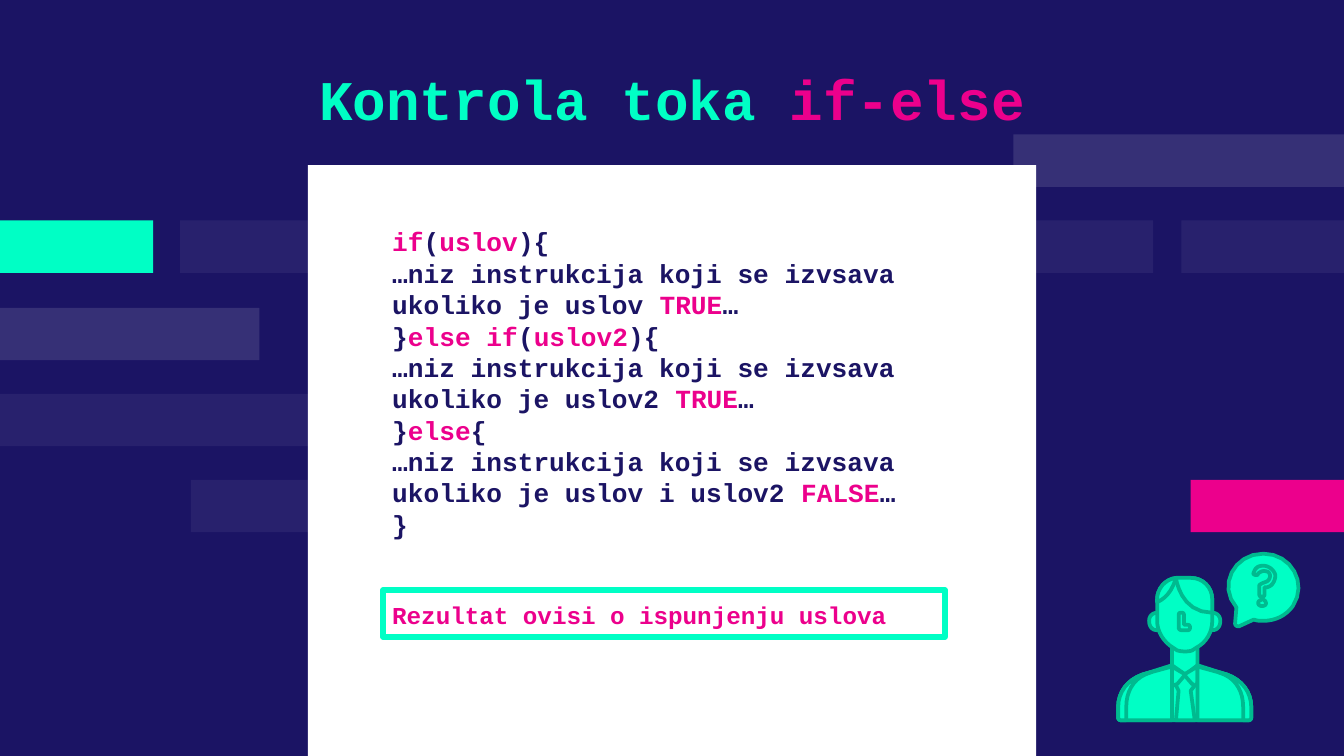
from dataclasses import dataclass

from lxml import etree
from pptx import Presentation
from pptx.dml.color import RGBColor
from pptx.enum.shapes import MSO_SHAPE
from pptx.enum.text import PP_ALIGN
from pptx.oxml.ns import qn
from pptx.util import Emu, Pt

RECTANGLE = MSO_SHAPE.RECTANGLE
LEFT, CENTER = PP_ALIGN.LEFT, PP_ALIGN.CENTER
PX = 9144
SLIDE_WIDTH = 1000
CURVE_STEPS = 8
ICON_AXIS_DOUBLED = 1763


@dataclass(frozen=True)
class Theme:
    font: str = "Courier New"
    navy: str = "1B1464"
    mint: str = "00FFC5"
    green: str = "00BA8F"
    pink: str = "EC008C"
    white: str = "FFFFFF"
    title_size: int = 30
    code_size: int = 14
    note_size: int = 13
    frame_line: int = 3
    icon_line: int = 2


THEME = Theme()
BAR_HEIGHT = 39
BARS = [
    (0, 229, 193, THEME.white, 12),
    (134, 164, 121, THEME.white, 6),
    (0, 293, 246, THEME.white, 6),
    (0, 164, 114, THEME.mint, 100),
    (142, 357, 121, THEME.white, 6),
    (886, 357, 114, THEME.pink, 100),
    (879, 164, 121, THEME.white, 6),
    (599, 164, 259, THEME.white, 6),
    (754, 100, 246, THEME.white, 12),
]
CODE = [
    "*if*(*uslov*){",
    "…niz instrukcija koji se izvsava ukoliko je uslov *TRUE*…",
    "}*else if*(*uslov2*){",
    "…niz instrukcija koji se izvsava ukoliko je uslov2 *TRUE*…",
    "}*else*{",
    "…niz instrukcija koji se izvsava ukoliko je uslov i uslov2 *FALSE*…",
    "}",
]

EAR = "M 861 456 C 857 456 855 459 855 462 C 855 466 857 469 861 469 C 865 469 867 466 867 462 C 867 459 865 456 861 456"
BUBBLE = (
    "M 940 412 C 918 412 906 436 920 452 L 919 464 C 919 465 920 466 921 466 L 922 466 L 933 461 "
    "C 935 462 938 462 940 462 C 949 462 957 458 962 451 C 973 434 961 412 940 412"
)
NECK = "M 872 474 L 872 500 L 882 508 L 891 500 L 891 474"
TORSO = (
    "M 872 495 L 850 502 C 839 506 832 515 832 526 L 832 534 C 832 535 833 536 834 536 L 929 536 "
    "C 930 536 931 535 931 534 L 931 526 C 931 515 924 506 913 502 L 891 495 L 882 502"
)
HEAD = (
    "M 877 430 L 875 430 C 867 431 861 438 861 446 L 861 462 C 861 470 866 478 873 482 L 876 484 "
    "C 880 485 884 485 887 484 L 890 482 C 898 478 902 470 902 462 L 902 446 C 902 437 895 430 886 430"
)
HAIR = "M 875 430 C 867 431 861 438 861 446 L 861 448 C 861 448 871 445 875 430"
FRINGE = "M 877 430 L 875 430 C 875 430 878 456 902 456 L 902 446 C 902 437 895 430 886 430"
NOSE = (
    "M 879 456 C 878 456 877 456 877 458 L 877 467 C 877 468 878 469 879 469 L 884 469 "
    "C 886 469 886 465 884 465 L 881 465 L 881 458 C 881 456 880 456 879 456"
)
TIE = "M 875 502 L 875 510 L 877 514 L 875 536 L 889 536 L 886 514 L 889 510 L 889 502"
COLLAR = "M 872 496 L 872 507 C 872 509 873 510 874 510 C 875 510 875 509 876 509 L 882 502"
JACKET = "M 872 496 L 850 502 C 839 506 832 515 832 526 L 832 534 C 832 535 833 536 834 536 L 872 536"
SLEEVE = (
    "M 857 500 L 850 502 C 839 506 832 515 832 526 L 832 534 C 832 535 833 536 834 536 L 838 536 "
    "L 838 526 C 838 515 843 506 852 502"
)
QUESTION = (
    "M 940 421 C 937 421 934 422 933 426 C 932 427 933 428 935 428 C 935 428 936 428 936 427 "
    "C 937 426 939 425 940 425 C 941 425 943 425 944 426 C 946 428 945 432 942 433 "
    "C 939 434 937 435 937 436 L 937 442 C 937 444 938 444 939 444 C 940 444 941 444 941 442 "
    "L 941 437 L 943 437 C 947 436 949 432 949 428 C 948 424 944 421 940 421"
)
DOT = "M 939 446 C 938 446 938 447 937 447 C 935 449 937 451 939 451 C 941 451 942 450 942 449 C 942 447 940 446 939 446"
ICON = [
    (EAR, True), (BUBBLE, False), (NECK, False), (TORSO, False), (HEAD, False),
    (HAIR, False), (FRINGE, False), (NOSE, False), (TIE, False), (COLLAR, True),
    (JACKET, True), (SLEEVE, True), (QUESTION, False), (DOT, False),
]


def color(value):
    return RGBColor.from_string(value)


def style_shape(shape, *, fill=None, opacity=100, line=None, line_width=1):
    shape.shadow.inherit = False
    if fill:
        shape.fill.solid()
        shape.fill.fore_color.rgb = color(fill)
        if opacity < 100:
            fill_color = shape.fill._xPr.find(qn("a:solidFill"))[0]
            etree.SubElement(fill_color, qn("a:alpha"), val=str(opacity * 1000))
    else:
        shape.fill.background()
    if line:
        shape.line.color.rgb = color(line)
        shape.line.width = Pt(line_width)
        etree.SubElement(shape.line._get_or_add_ln(), qn("a:round"))
    else:
        shape.line.fill.background()


def add_rectangle(slide, left, top, width, height, **style):
    box = [Emu(length * PX) for length in (left, top, width, height)]
    style_shape(slide.shapes.add_shape(RECTANGLE, *box), **style)


def curve_points(start, first, second, end):
    for step in range(1, CURVE_STEPS + 1):
        t = step / CURVE_STEPS
        u = 1 - t
        weights = (u**3, 3 * u * u * t, 3 * u * t * t, t**3)
        controls = (start, first, second, end)
        yield tuple(sum(w * p[axis] for w, p in zip(weights, controls)) for axis in (0, 1))


def outline_points(outline):
    tokens = iter(outline.split())
    points = []
    for command in tokens:
        count = 3 if command == "C" else 1
        pairs = [(int(next(tokens)), int(next(tokens))) for _ in range(count)]
        points.extend(curve_points(points[-1], *pairs) if command == "C" else pairs)
    return points


def add_outline(slide, points, **style):
    scaled = [(x * PX, y * PX) for x, y in points]
    builder = slide.shapes.build_freeform(*scaled[0], scale=1.0)
    builder.add_line_segments(scaled[1:], close=True)
    style_shape(builder.convert_to_shape(), **style)


def add_icon(slide):
    style = {"fill": THEME.mint, "line": THEME.green, "line_width": THEME.icon_line}
    for outline, mirrored in ICON:
        points = outline_points(outline)
        add_outline(slide, points, **style)
        if mirrored:
            add_outline(slide, [(ICON_AXIS_DOUBLED - x, y) for x, y in points], **style)


def add_text(slide, lines, *, box, size, base, accent=THEME.pink, align=LEFT, inset=10):
    shape = slide.shapes.add_textbox(*[Emu(length * PX) for length in box])
    frame = shape.text_frame
    frame.word_wrap = True
    frame.margin_left = frame.margin_right = Emu(10 * PX)
    frame.margin_top = frame.margin_bottom = Emu(inset * PX)
    for index, line in enumerate(lines):
        paragraph = frame.add_paragraph() if index else frame.paragraphs[0]
        paragraph.alignment = align
        for position, text in enumerate(line.split("*")):
            if text:
                run = paragraph.add_run()
                run.text = text
                run.font.name = THEME.font
                run.font.size = Pt(size)
                run.font.bold = True
                run.font.color.rgb = color(accent if position % 2 else base)


def main():
    presentation = Presentation()
    presentation.slide_width = Emu(SLIDE_WIDTH * PX)
    presentation.slide_height = Emu(SLIDE_WIDTH * PX * 9 // 16)
    slide = presentation.slides.add_slide(presentation.slide_layouts[6])
    slide.background.fill.solid()
    slide.background.fill.fore_color.rgb = color(THEME.navy)
    for left, top, width, fill, opacity in BARS:
        add_rectangle(slide, left, top, width, BAR_HEIGHT, fill=fill, opacity=opacity)
    add_rectangle(slide, 229, 123, 542, 440, fill=THEME.white)
    add_text(slide, CODE, box=(282, 158, 451, 189), size=THEME.code_size, base=THEME.navy)
    add_text(slide, ["Kontrola toka *if-else*"], box=(140, 38, 720, 73),
             size=THEME.title_size, base=THEME.mint, align=CENTER)
    add_rectangle(slide, 285, 439, 418, 35, line=THEME.mint, line_width=THEME.frame_line)
    add_text(slide, ["Rezultat ovisi o ispunjenju uslova"], box=(282, 442, 441, 32),
             size=THEME.note_size, base=THEME.pink, inset=5)
    add_icon(slide)
    presentation.save("out.pptx")


if __name__ == "__main__":
    main()
